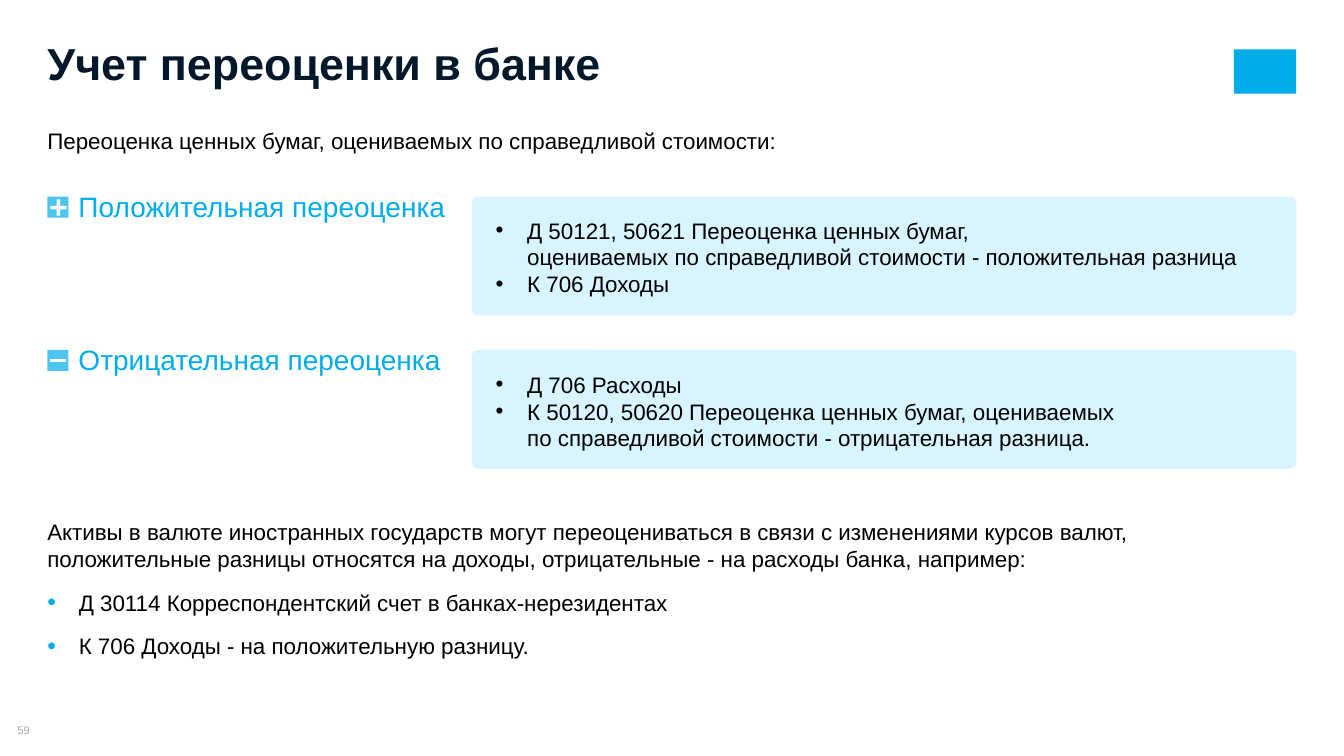
from dataclasses import dataclass

from lxml.etree import SubElement
from pptx import Presentation
from pptx.dml.color import RGBColor
from pptx.enum.shapes import MSO_SHAPE
from pptx.enum.text import MSO_ANCHOR, MSO_AUTO_SIZE, PP_ALIGN
from pptx.oxml.ns import qn
from pptx.shapes.autoshape import Shape
from pptx.slide import Slide
from pptx.util import Pt

Box = tuple[float, float, float, float]


@dataclass(frozen=True)
class Theme:
    font: str = "Arial"
    navy: str = "03182B"
    blue: str = "00ADEB"
    pale: str = "C8F0FF"
    black: str = "000000"
    white: str = "FFFFFF"
    gray: str = "A6A6A6"
    head: float = 32
    label: float = 20
    text: float = 16
    small: float = 8
    alpha: int = 70


@dataclass(frozen=True)
class Line:
    text: str
    dot: bool = False


@dataclass(frozen=True)
class Entry:
    label: str
    sign: MSO_SHAPE
    ratio: float
    size: float
    drop: float
    lines: tuple[Line, ...]


THEME = Theme()
LEFT, TOP, STEP = 33.84, 140.4, 109.44
INDENT = 22.5

ENTRIES = (
    Entry("Положительная переоценка", MSO_SHAPE.MATH_PLUS, 0.158, 15.8, 10.8, (
        Line("Д 50121, 50621 Переоценка ценных бумаг, \v"
             "оцениваемых по справедливой стоимости - положительная разница", True),
        Line("К 706 Доходы", True),
    )),
    Entry("Отрицательная переоценка", MSO_SHAPE.MATH_MINUS, 0.135, 15.12, 11.5, (
        Line("Д 706 Расходы", True),
        Line("К 50120, 50620 Переоценка ценных бумаг, оцениваемых \v"
             "по справедливой стоимости - отрицательная разница.", True),
    )),
)

ASSETS = (
    Line("Активы в валюте иностранных государств могут переоцениваться в связи "
         "с изменениями курсов валют, положительные разницы относятся на доходы, "
         "отрицательные - на расходы банка, например:"),
    Line("Д 30114 Корреспондентский счет в банках-нерезидентах", True),
    Line("К 706 Доходы - на положительную разницу.", True),
)


def place(shape: Shape, box: Box) -> Shape:
    shape.left, shape.top, shape.width, shape.height = map(Pt, box)
    return shape


def write(shape: Shape, lines: tuple[Line, ...], *, size: float = THEME.text,
          color: str = THEME.black, bold: bool = False, space: float = 1,
          after: float = 0, dot_color: str = "", inset: bool = True,
          align: PP_ALIGN = PP_ALIGN.LEFT,
          anchor: MSO_ANCHOR = MSO_ANCHOR.TOP) -> None:
    """Fill a shape with formatted paragraphs."""
    frame = shape.text_frame
    frame.word_wrap, frame.auto_size = True, MSO_AUTO_SIZE.NONE
    frame.vertical_anchor = anchor
    if not inset:
        frame.margin_left = frame.margin_right = Pt(0)
        frame.margin_top = frame.margin_bottom = Pt(0)
    for i, line in enumerate(lines):
        para = frame.paragraphs[0] if i == 0 else frame.add_paragraph()
        para.text = line.text
        para.alignment, para.line_spacing = align, space
        para.space_before, para.space_after = Pt(0), Pt(after)
        props = para._p.get_or_add_pPr()
        indent = Pt(INDENT) if line.dot else 0
        props.set("marL", str(indent))
        props.set("indent", str(-indent))
        if line.dot:
            if dot_color:
                tint = SubElement(props, qn("a:buClr"))
                SubElement(tint, qn("a:srgbClr"), val=dot_color)
                SubElement(props, qn("a:buSzPct"), val="110000")
            SubElement(props, qn("a:buFont"), typeface=THEME.font)
            SubElement(props, qn("a:buChar"), char="•")
        else:
            SubElement(props, qn("a:buNone"))
        for run in para.runs:
            font = run.font
            font.name, font.size, font.bold = THEME.font, Pt(size), bold
            font.color.rgb = RGBColor.from_string(color)


def draw(slide: Slide, kind: MSO_SHAPE, box: Box, color: str, *,
         alpha: int = 100, ratio: float | None = None) -> None:
    """Add a borderless filled shape."""
    shape = slide.shapes.add_shape(kind, *map(Pt, box))
    shape.shadow.inherit = False
    shape.line.fill.background()
    shape.fill.solid()
    shape.fill.fore_color.rgb = RGBColor.from_string(color)
    if ratio is not None:
        shape.adjustments[0] = ratio
    if alpha < 100:
        tint = shape._element.spPr.find(qn("a:solidFill"))[0]
        SubElement(tint, qn("a:alpha"), val=str(alpha * 1000))


def add_text(slide: Slide, box: Box) -> Shape:
    return slide.shapes.add_textbox(*map(Pt, box))


def add_entry(slide: Slide, entry: Entry, top: float) -> None:
    draw(slide, MSO_SHAPE.ROUNDED_RECTANGLE, (337, top, 589, 85), THEME.pale,
         alpha=THEME.alpha, ratio=0.055)
    draw(slide, MSO_SHAPE.RECTANGLE, (LEFT, top, 15.12, 15.12), THEME.blue,
         alpha=THEME.alpha)
    draw(slide, entry.sign, (LEFT, top, entry.size, entry.size), THEME.white,
         ratio=entry.ratio)
    write(add_text(slide, (49, top - 8.6, 378.7, 31.7)), (Line(entry.label),),
          size=THEME.label, color=THEME.blue)
    write(add_text(slide, (347, top + entry.drop, 569.5, 65.5)), entry.lines)


def main() -> None:
    deck = Presentation()
    deck.slide_width, deck.slide_height = Pt(960), Pt(540)
    slide = deck.slides.add_slide(deck.slide_layouts[3])
    title, intro, assets = slide.placeholders

    write(place(title, (LEFT, 33.1, 756.7, 31)), (Line("Учет переоценки в банке"),),
          size=THEME.head, color=THEME.navy, bold=True, space=0.8, inset=False)
    write(place(intro, (26.6, 89.3, 846.7, 31)),
          (Line("Переоценка ценных бумаг, оцениваемых по справедливой стоимости:"),),
          space=0.9)
    for i, entry in enumerate(ENTRIES):
        add_entry(slide, entry, TOP + i * STEP)
    write(place(assets, (26.6, 366.5, 903.6, 108.7)), ASSETS,
          after=12, dot_color=THEME.blue)

    draw(slide, MSO_SHAPE.RECTANGLE, (881.3, 35.3, 44.6, 31.7), THEME.blue)
    write(add_text(slide, (0, 517, 33.84, 9.4)), (Line("59"),), size=THEME.small,
          color=THEME.gray, inset=False, align=PP_ALIGN.CENTER,
          anchor=MSO_ANCHOR.MIDDLE)
    deck.save("out.pptx")


if __name__ == "__main__":
    main()
